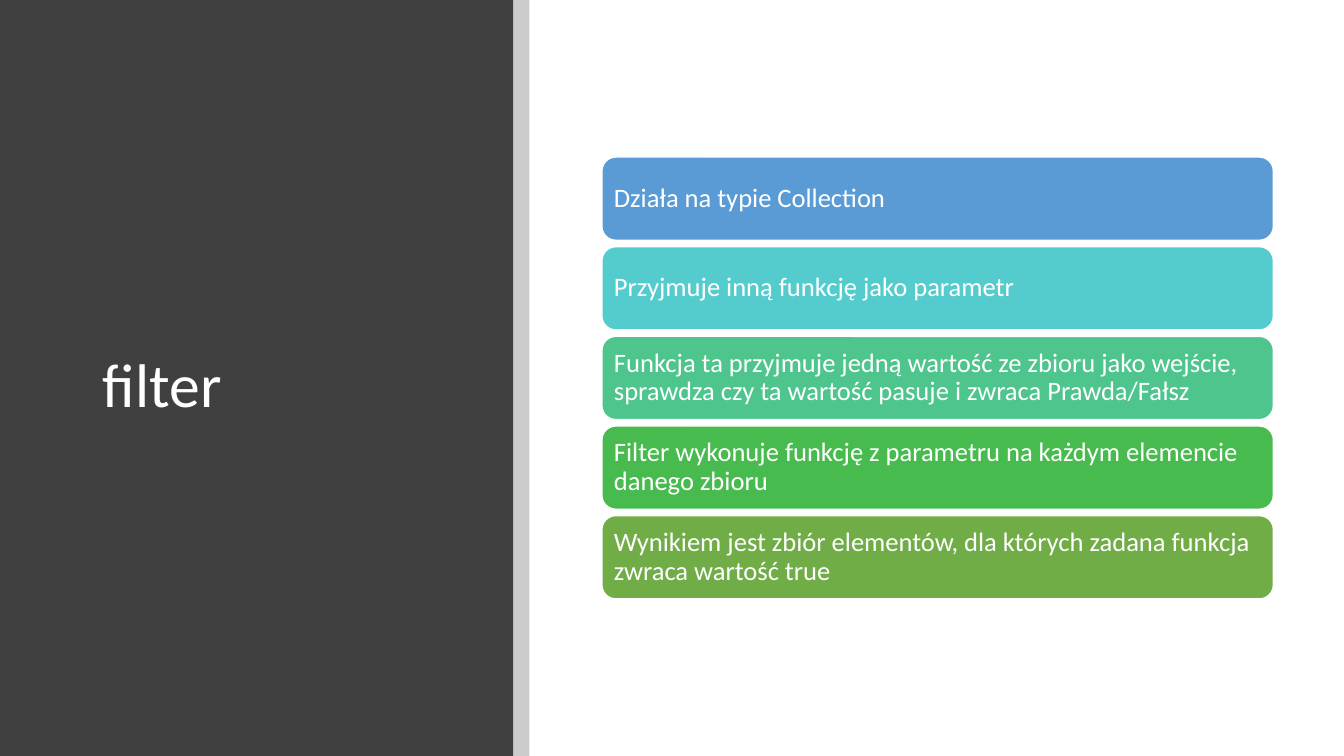
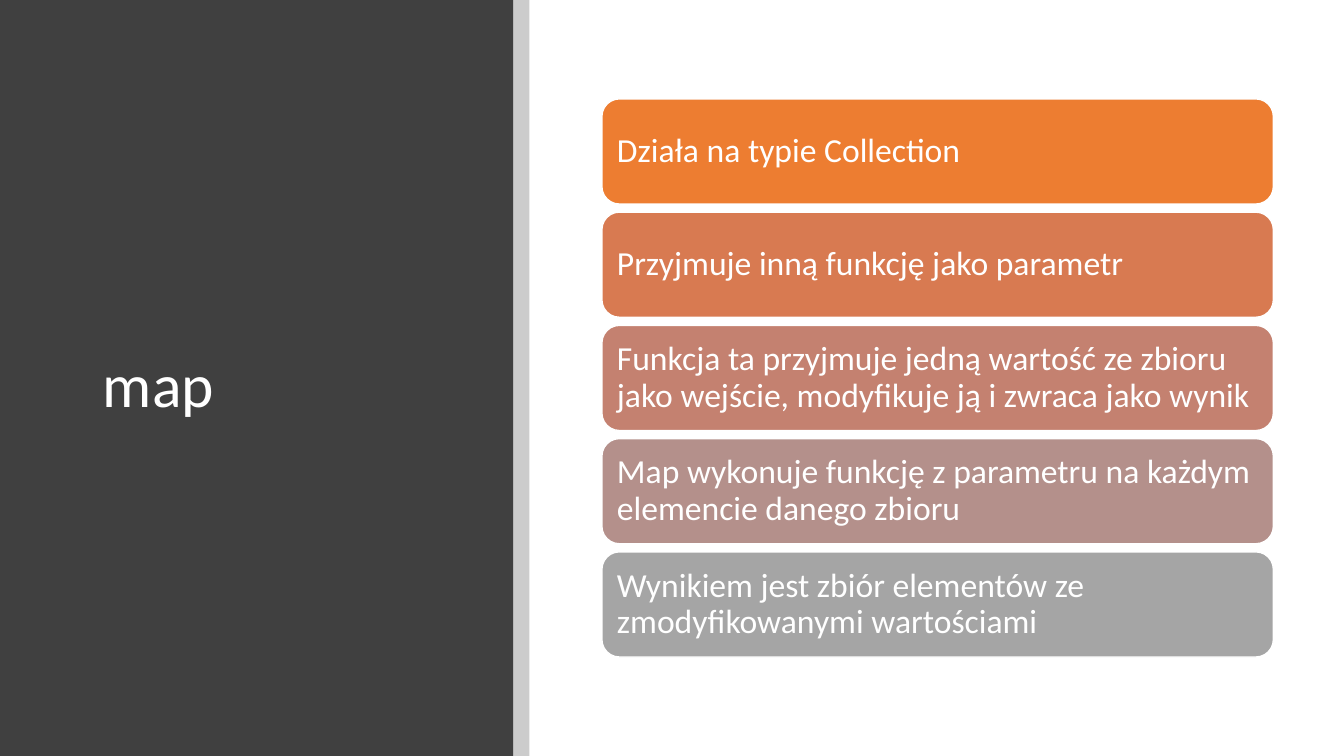
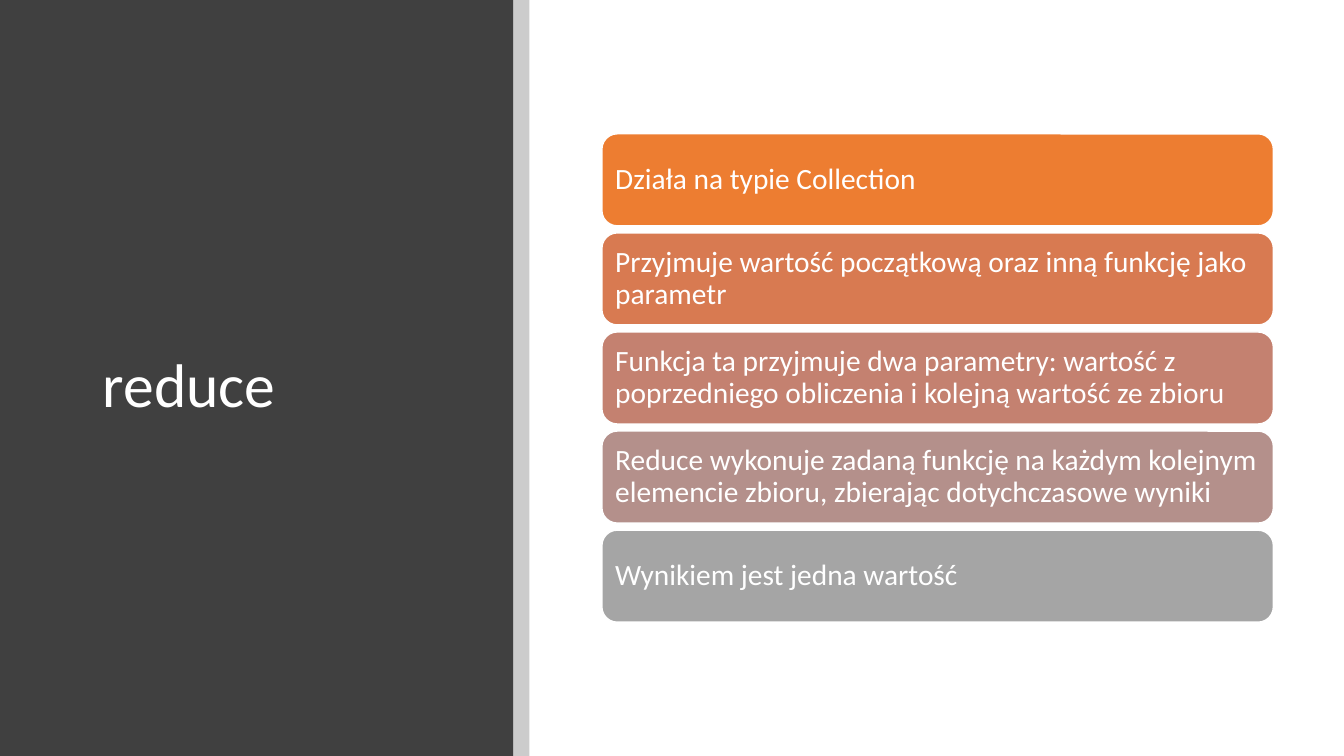
from lxml import etree
from pptx import Presentation
from pptx.dml.color import RGBColor
from pptx.enum.shapes import MSO_SHAPE
from pptx.enum.text import MSO_ANCHOR, PP_ALIGN
from pptx.oxml.ns import qn
from pptx.shapes.shapetree import SlideShapes
from pptx.util import Inches, Pt

RECTANGLE = MSO_SHAPE.RECTANGLE
ROUNDED_RECTANGLE = MSO_SHAPE.ROUNDED_RECTANGLE
MIDDLE = MSO_ANCHOR.MIDDLE
LEFT = PP_ALIGN.LEFT

FONT = "Calibri"
WHITE = "FFFFFF"
PANEL_COLOUR = "404040"
STRIP_COLOUR = "000000"
STRIP_OPACITY = 20
SLIDE_WIDTH, SLIDE_HEIGHT = 13.33, 7.5
PANEL_BOX = (0, 0, 5.09, SLIDE_HEIGHT)
STRIP_BOX = (5.09, 0, 0.16, SLIDE_HEIGHT)
TITLE_BOX = (0.92, 0.89, 3.65, 5.91)
ROWS_BOX = (5.97, 0, 6.66, SLIDE_HEIGHT)
TITLE_SIZE = 44

GREEN_SCALE = ("5B9BD5", "54CCCD", "4DC58D", "48BB4F", "70AD47")
ORANGE_SCALE = ("ED7D31", "D87A51", "C48170", "B4908B", "A5A5A5")

SLIDES = (
    ("filter", 19, GREEN_SCALE, (
        "Działa na typie Collection",
        "Przyjmuje inną funkcję jako parametr",
        "Funkcja ta przyjmuje jedną wartość ze zbioru jako wejście, "
        "sprawdza czy ta wartość pasuje i zwraca Prawda/Fałsz",
        "Filter wykonuje funkcję z parametru na każdym elemencie danego zbioru",
        "Wynikiem jest zbiór elementów, dla których zadana funkcja zwraca wartość true",
    )),
    ("map", 24, ORANGE_SCALE, (
        "Działa na typie Collection",
        "Przyjmuje inną funkcję jako parametr",
        "Funkcja ta przyjmuje jedną wartość ze zbioru jako wejście, "
        "modyfikuje ją i zwraca jako wynik",
        "Map wykonuje funkcję z parametru na każdym elemencie danego zbioru",
        "Wynikiem jest zbiór elementów ze zmodyfikowanymi wartościami",
    )),
    ("reduce", 21, ORANGE_SCALE, (
        "Działa na typie Collection",
        "Przyjmuje wartość początkową oraz inną funkcję jako parametr",
        "Funkcja ta przyjmuje dwa parametry: wartość z poprzedniego obliczenia "
        "i kolejną wartość ze zbioru",
        "Reduce wykonuje zadaną funkcję na każdym kolejnym elemencie zbioru, "
        "zbierając dotychczasowe wyniki",
        "Wynikiem jest jedna wartość",
    )),
)


def colour(hex_code):
    return RGBColor.from_string(hex_code)


def add_box(shapes, kind, box, fill):
    shape = shapes.add_shape(kind, *map(Inches, box))
    shape.shadow.inherit = False
    shape.fill.solid()
    shape.fill.fore_color.rgb = colour(fill)
    shape.line.fill.background()
    return shape


def set_opacity(shape, percent):
    fill_colour = shape.fill._xPr.find(qn("a:solidFill"))[0]
    etree.SubElement(fill_colour, qn("a:alpha"), val=str(percent * 1000))


def write_text(text_frame, text, size):
    text_frame.word_wrap = True
    text_frame.vertical_anchor = MIDDLE
    paragraph = text_frame.paragraphs[0]
    paragraph.alignment = LEFT
    paragraph.line_spacing = 0.9
    run = paragraph.add_run()
    run.text = text
    run.font.name = FONT
    run.font.size = Pt(size)
    run.font.color.rgb = colour(WHITE)


def prepare_layout(layout):
    shapes = SlideShapes(layout.shapes._spTree, layout)
    add_box(shapes, RECTANGLE, PANEL_BOX, PANEL_COLOUR)
    strip = add_box(shapes, RECTANGLE, STRIP_BOX, STRIP_COLOUR)
    set_opacity(strip, STRIP_OPACITY)
    title = layout.placeholders[0]
    title.left, title.top, title.width, title.height = map(Inches, TITLE_BOX)


def add_rows(slide, box, texts, fills, size):
    left, top, width, height = box
    row_height = size / 23
    gap = size / 300
    inset = Inches(size / 240)
    pitch = row_height + gap
    first_top = top + (height - len(texts) * pitch + gap) / 2
    for index, (text, fill) in enumerate(zip(texts, fills)):
        row_box = (left, first_top + index * pitch, width, row_height)
        row = add_box(slide.shapes, ROUNDED_RECTANGLE, row_box, fill)
        row.line.color.rgb = colour(WHITE)
        row.line.width = Pt(1)
        frame = row.text_frame
        frame.margin_left = frame.margin_right = inset
        frame.margin_top = frame.margin_bottom = inset
        write_text(frame, text, size)


def add_function_slide(presentation, layout, name, size, fills, texts):
    slide = presentation.slides.add_slide(layout)
    write_text(slide.shapes.title.text_frame, name, TITLE_SIZE)
    add_rows(slide, ROWS_BOX, texts, fills, size)


def main():
    presentation = Presentation()
    presentation.slide_width = Inches(SLIDE_WIDTH)
    presentation.slide_height = Inches(SLIDE_HEIGHT)
    layout = presentation.slide_layouts.get_by_name("Title Only")
    prepare_layout(layout)
    for content in SLIDES:
        add_function_slide(presentation, layout, *content)
    presentation.save("out.pptx")


if __name__ == "__main__":
    main()
